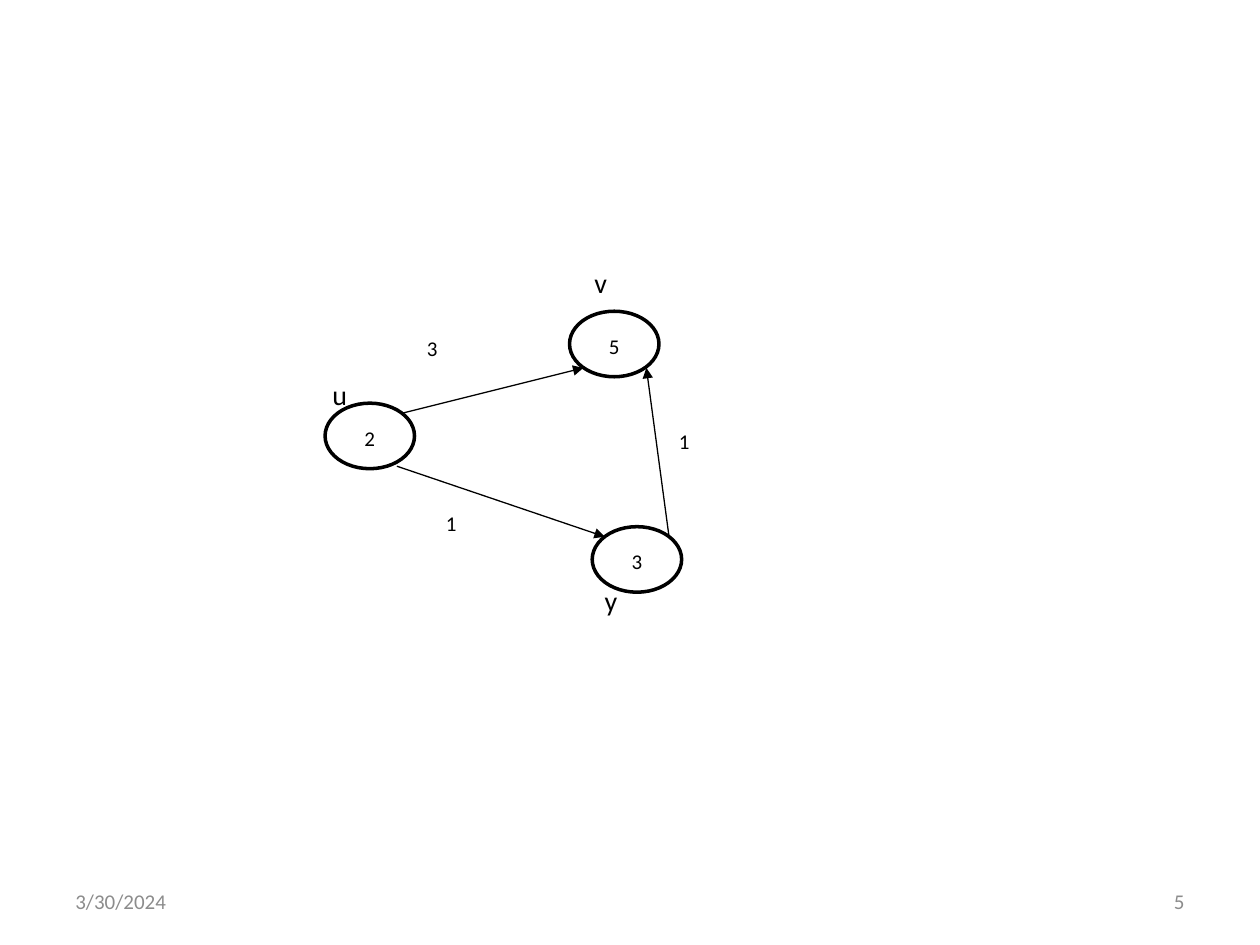
import pptx
import pptx.util
import pptx.dml.color
import pptx.enum.shapes
import pptx.enum.text
import pptx.oxml.ns
import lxml.etree
from dataclasses import dataclass

PX = 9144  # EMU per px, 100 px to the inch
ALIGN = pptx.enum.text.PP_ALIGN
ANCHOR = pptx.enum.text.MSO_ANCHOR


@dataclass(frozen=True)
class Theme:
    font: str = "Calibri"
    ink: str = "000000"
    paper: str = "FFFFFF"
    muted: str = "8C8C8C"
    small: int = 12
    name: int = 16
    ring: float = 2
    edge: float = 0.75


class Graph:
    def __init__(self, slide, theme):
        self.slide = slide
        self.theme = theme

    def color(self, code):
        return pptx.dml.color.RGBColor.from_string(code)

    def letter(self, shape, text, size, color, align, anchor):
        frame = shape.text_frame
        frame.word_wrap = True
        frame.vertical_anchor = anchor
        para = frame.paragraphs[0]
        para.text = text
        para.alignment = align
        para.font.name = self.theme.font
        para.font.size = pptx.util.Pt(size)
        para.font.color.rgb = self.color(color)
        return para

    def label(self, text, box, size, color=None, align=ALIGN.LEFT, anchor=ANCHOR.TOP):
        shape = self.slide.shapes.add_textbox(*(n * PX for n in box))
        self.letter(shape, text, size, color or self.theme.ink, align, anchor)

    def node(self, text, left, top):
        oval = self.slide.shapes.add_shape(
            pptx.enum.shapes.MSO_SHAPE.OVAL, left * PX, top * PX, 71 * PX, 52 * PX)
        oval.shadow.inherit = False
        oval.fill.background()
        oval.line.color.rgb = self.color(self.theme.ink)
        oval.line.width = pptx.util.Pt(self.theme.ring)
        para = self.letter(oval, text, self.theme.small, self.theme.ink,
                           ALIGN.CENTER, ANCHOR.MIDDLE)
        para.line_spacing = 1.15
        para.space_after = pptx.util.Pt(10)

    def arrow(self, *ends):
        edge = self.slide.shapes.add_connector(
            pptx.enum.shapes.MSO_CONNECTOR.STRAIGHT, *(n * PX for n in ends))
        edge.line.color.rgb = self.color(self.theme.ink)
        edge.line.width = pptx.util.Pt(self.theme.edge)
        qn = pptx.oxml.ns.qn
        props = edge._element.spPr
        lxml.etree.SubElement(props.find(qn("a:ln")), qn("a:tailEnd"), type="triangle")
        lxml.etree.SubElement(props, qn("a:effectLst"))


def main():
    deck = pptx.Presentation()
    deck.slide_width, deck.slide_height = 1000 * PX, 750 * PX
    slide = deck.slides.add_slide(deck.slide_layouts[6])
    theme = Theme()
    graph = Graph(slide, theme)
    slide.background.fill.solid()
    slide.background.fill.fore_color.rgb = graph.color(theme.paper)

    # Footer: date and page number
    for text, left, align in (("3/30/2024", 50, ALIGN.LEFT), ("5", 717, ALIGN.RIGHT)):
        graph.label(text, (left, 695, 233, 40), theme.small, theme.muted,
                    align, ANCHOR.MIDDLE)

    # Nodes with their values
    for text, left, top in (("5", 452, 247), ("3", 470, 418), ("2", 258, 320)):
        graph.node(text, left, top)

    # Edges: u to v, u to y, y to v
    for ends in ((319, 328, 463, 292), (315, 370, 480, 426), (531, 426, 513, 292)):
        graph.arrow(*ends)

    # Node names
    for text, left, top in (("u", 254, 295), ("v", 462, 206), ("y", 470, 458)):
        graph.label(text, (left, top, 70, 37), theme.name)

    # Edge weights
    for text, left, top in (("3", 329, 261), ("1", 344, 400), ("1", 529, 335)):
        graph.label(text, (left, top, 79, 51), theme.small)

    deck.save("out.pptx")


if __name__ == "__main__":
    main()
